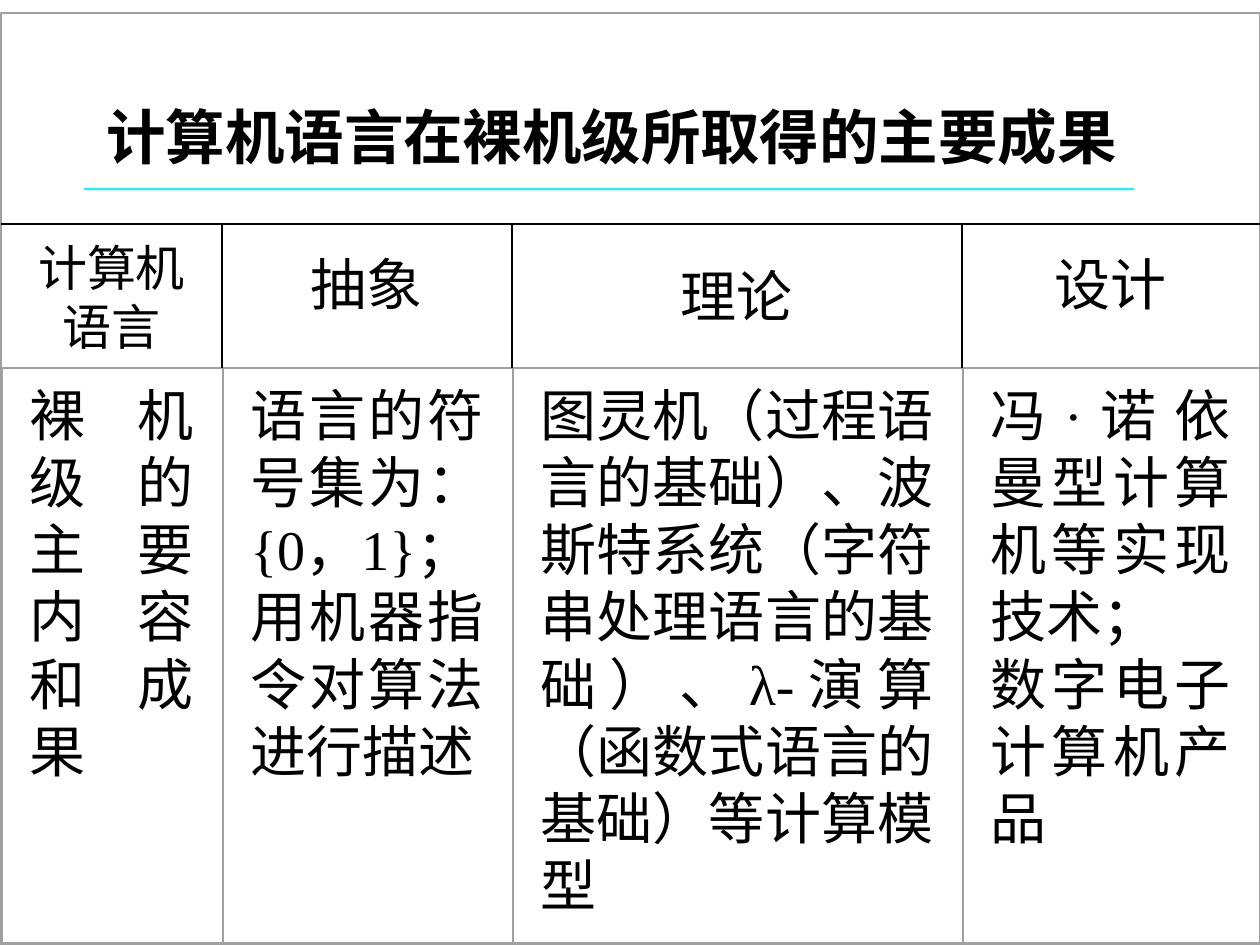
"""Build the slide on the results of computer languages at bare-machine level."""
from pptx import Presentation
from pptx.dml.color import RGBColor
from pptx.enum.shapes import MSO_CONNECTOR, MSO_SHAPE
from pptx.enum.text import MSO_ANCHOR, PP_ALIGN
from pptx.oxml.ns import qn
from pptx.util import Pt
from lxml.etree import SubElement

PX = 914400 / 126
COLORS = {"text": "000000", "rule": "000000", "frame": "A0A0A0", "accent": "00FFFF"}


def emu(*values):
    return [round(v * PX) for v in values]


def add_text(box, paras, size, font, align, bold=False):
    tf = s.shapes.add_textbox(*emu(*box)).text_frame
    tf.word_wrap = True
    for i, text in enumerate(paras):
        p = tf.paragraphs[0] if i == 0 else tf.add_paragraph()
        p.alignment = align
        r = p.add_run()
        r.text = text
        r.font.size = Pt(size)
        r.font.name = font
        r.font.bold = bold
        r.font.color.rgb = RGBColor.from_string(COLORS["text"])
    return tf


prs = Presentation()
prs.slide_width, prs.slide_height = emu(1260, 945)
s = prs.slides.add_slide(prs.slide_layouts[6])

edges = [2, 223, 513, 963, 1260]
head_top, body_top, body_h = 224, 368, 575
columns = [
    ("计算机语言", 28, 231, ["裸机级的主要内容和成果"]),
    ("抽象", 32, 243, ["语言的符号集为：{0，1}；", "用机器指令对算法进行描述"]),
    ("理论", 32, 255, ["图灵机（过程语言的基础）、波斯特系统（字符串处理语言的基础）、"
                     "λ-演算（函数式语言的基础）等计算模型"]),
    ("设计", 32, 243, ["冯·诺依曼型计算机等实现技术；", "数字电子计算机产品"]),
]

frames = [(1, 13, 1259, 932, 0.87)]
for x, right, (head, size, top, body) in zip(edges, edges[1:], columns):
    left, width = x + 15, right - x - 32
    add_text((left, top, width, 106), [head], size, "Arial", PP_ALIGN.CENTER)
    add_text((left, body_top + 6, width, 562), body, 32, "Times New Roman", PP_ALIGN.JUSTIFY)
    frames.append((x, body_top, right - x, body_h, 0))

for *box, weight in frames:
    sp = s.shapes.add_shape(MSO_SHAPE.RECTANGLE, *emu(*box))
    sp.shadow.inherit = False
    sp.fill.background()
    sp.line.color.rgb = RGBColor.from_string(COLORS["frame"])
    sp.line.width = Pt(weight)

tf = add_text((94, 84, 1071, 116), ["计算机语言在裸机级所取得的主要成果"], 34, "Arial", PP_ALIGN.LEFT, True)
tf.vertical_anchor = MSO_ANCHOR.MIDDLE
tf.paragraphs[0].line_spacing = 0.8

rules = [(1, head_top, 1260, head_top, "rule"), (84, 189, 1134, 189, "accent")]
rules += [(x - 1, body_top, x - 1, head_top, "rule") for x in edges[1:-1]]
for *ends, color in rules:
    ln = s.shapes.add_connector(MSO_CONNECTOR.STRAIGHT, *emu(*ends))
    ln.line.color.rgb = RGBColor.from_string(COLORS[color])
    ln.line.width = Pt(0.75)
    SubElement(ln._element.spPr, qn("a:effectLst"))

prs.save("out.pptx")
